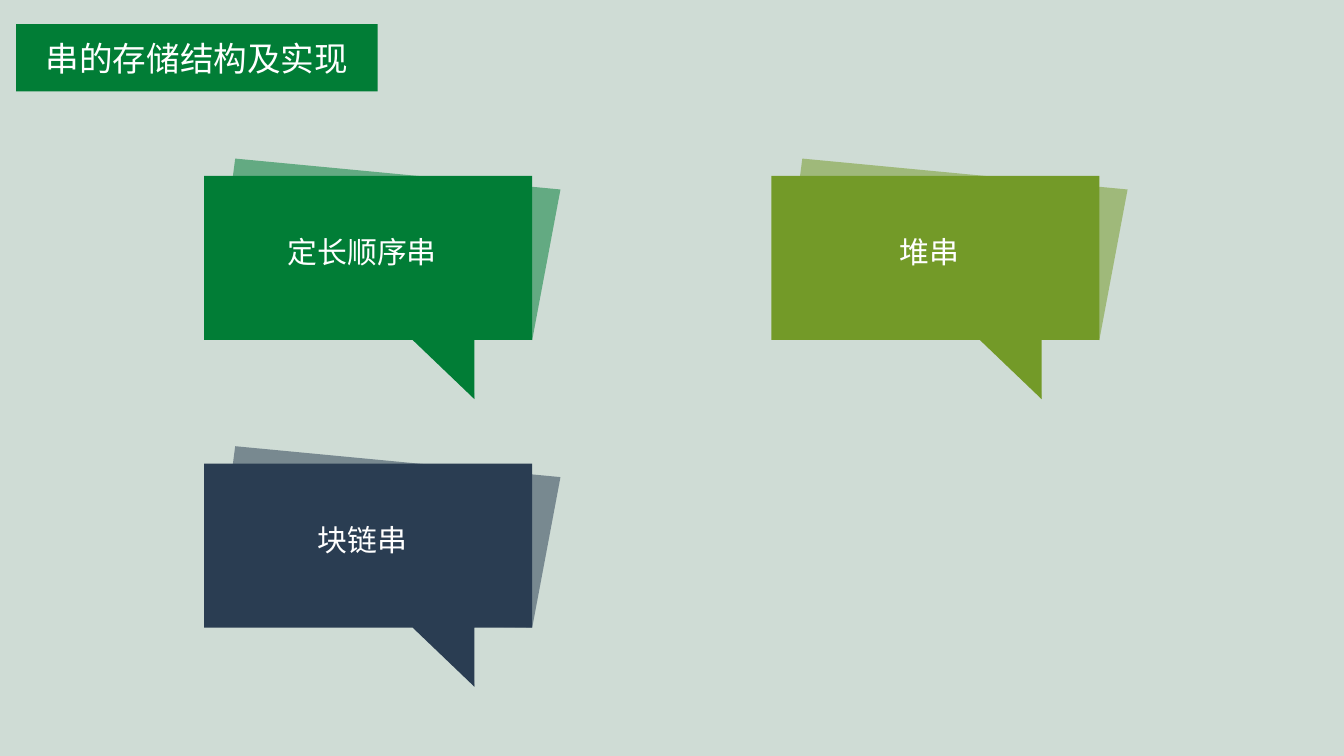
"""Build a slide with three speech bubbles on string storage structures."""
from lxml import etree
from pptx import Presentation
from pptx.dml.color import RGBColor
from pptx.enum import text
from pptx.oxml import ns
from pptx.util import Inches, Pt

TITLE = "串的存储结构及实现"
CARDS = [("定长顺序串", "017D36"), ("堆串", "739A28"), ("块链串", "2A3D52")]
THEME = {"font": "Noto Sans CJK SC", "ink": "FFFFFF", "back": "CFDCD5",
         "main": "017D36", "title": 18, "label": 16, "alpha": 52}
SHADE = [(2.65, 0.23), (0.23, 0), (0.07, 1.22), (1.61, 1.32),
         (2.01, 1.79), (1.98, 1.34), (2.44, 1.35)]
FRONT = [(2.44, 0.13), (0, 0.13), (0, 1.35), (1.55, 1.35),
         (2.01, 1.79), (2.01, 1.35), (2.44, 1.35)]
LEFT, TOP, COLS, STEP_X, STEP_Y = 1.52, 1.18, 2, 4.22, 2.14


def paint(fill, tone):
    fill.solid()
    fill.fore_color.rgb = RGBColor.from_string(tone)


def write(frame, words, size):
    frame.word_wrap = True
    para = frame.paragraphs[0]
    para.text = words
    para.alignment = text.PP_ALIGN.CENTER
    font = para.font
    font.name = THEME["font"]
    font.size = Pt(size)
    font.color.rgb = RGBColor.from_string(THEME["ink"])
    latin = para._p.pPr.find(".//" + ns.qn("a:latin"))
    latin.addnext(etree.Element(ns.qn("a:ea"), typeface=THEME["font"]))
    return para


def draw(group, points, left, top, tone, alpha=None):
    spots = [(Inches(left + x), Inches(top + y)) for x, y in points]
    pen = group.shapes.build_freeform(*spots[0], scale=1.0)
    pen.add_line_segments(spots[1:], close=True)
    shape = pen.convert_to_shape()
    shape.shadow.inherit = False
    shape.line.fill.background()
    paint(shape.fill, tone)
    if alpha:
        color = shape._element.spPr.find(".//" + ns.qn("a:srgbClr"))
        etree.SubElement(color, ns.qn("a:alpha"), val=str(alpha * 1000))


def place(slide, index, words, tone):
    row, col = divmod(index, COLS)
    left, top = LEFT + col * STEP_X, TOP + row * STEP_Y
    group = slide.shapes.add_group_shape()
    draw(group, SHADE, left, top, tone, THEME["alpha"])
    draw(group, FRONT, left, top, tone)
    box = slide.shapes.add_textbox(Inches(left + 0.08), Inches(top + 0.43),
                                   Inches(2.19), Inches(0.45))
    write(box.text_frame, words, THEME["label"]).line_spacing = 1.3


def main():
    deck = Presentation()
    deck.slide_width, deck.slide_height = Inches(10), Inches(5.625)
    slide = deck.slides.add_slide(deck.slide_layouts[5])
    paint(slide.background.fill, THEME["back"])
    title = slide.shapes.title
    title.left, title.top = Inches(0.12), Inches(0.18)
    title.width, title.height = Inches(2.69), Inches(0.5)
    paint(title.fill, THEME["main"])
    write(title.text_frame, TITLE, THEME["title"])
    title.text_frame.vertical_anchor = text.MSO_ANCHOR.MIDDLE
    for index, (words, tone) in enumerate(CARDS):
        place(slide, index, words, tone)
    deck.save("out.pptx")


if __name__ == "__main__":
    main()
